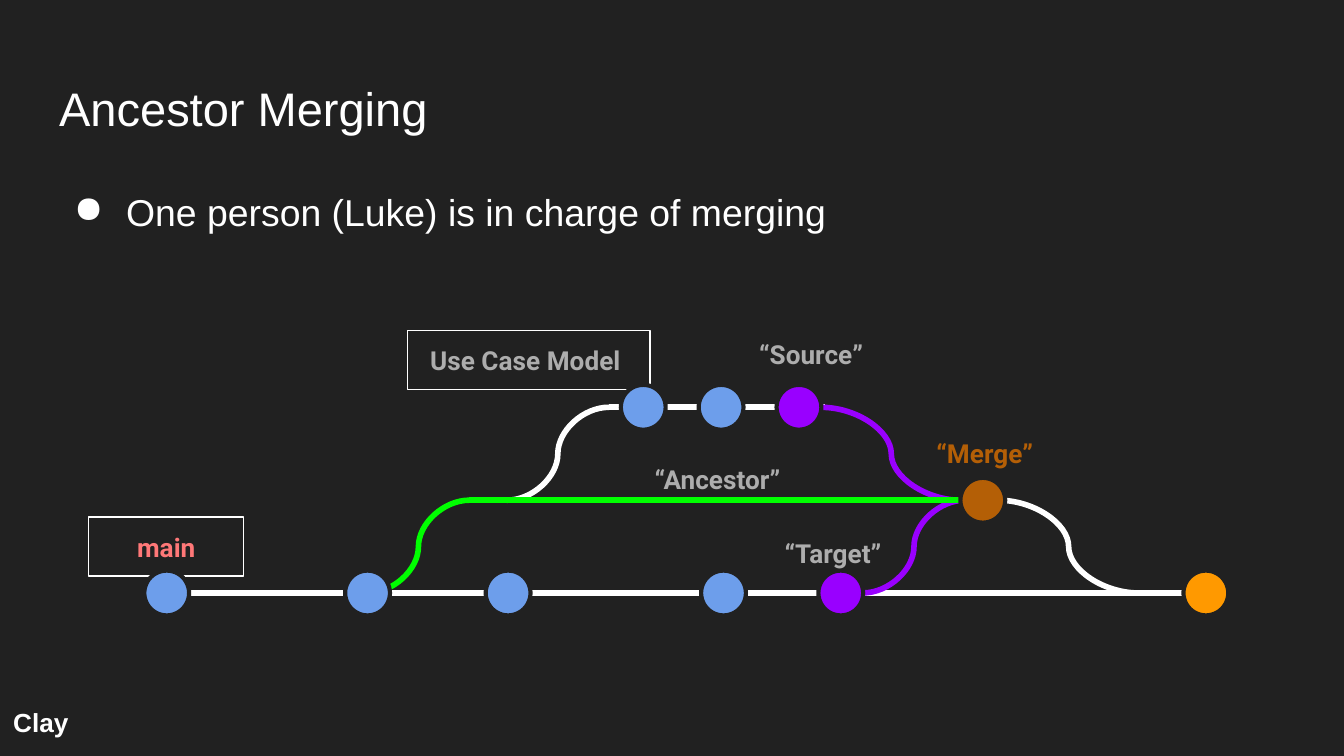
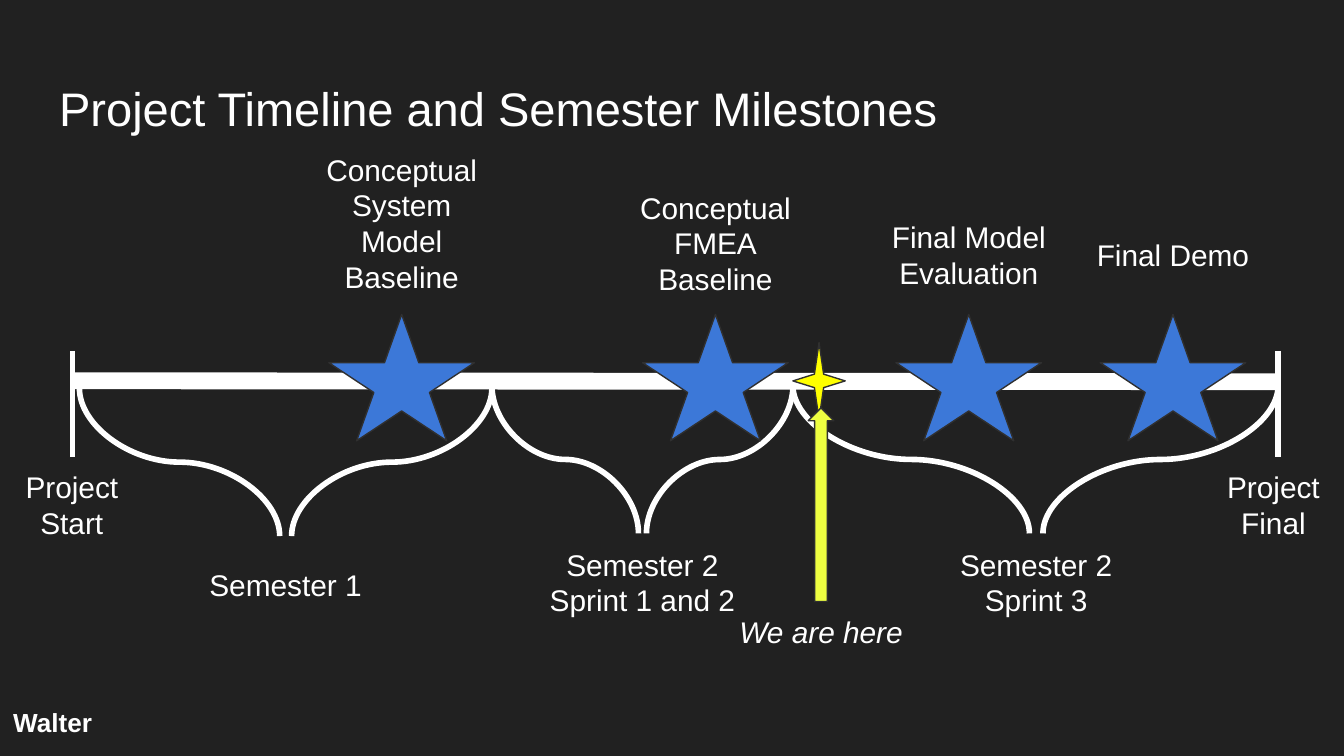
from lxml import etree
from pptx import Presentation
from pptx.dml.color import RGBColor
from pptx.enum import shapes, text
from pptx.oxml import ns
from pptx.util import Pt

C = {
    "bg": "212121", "white": "FFFFFF", "grey": "ADADAD", "coral": "FF7878",
    "blue": "6D9EEB", "purple": "9900FF", "green": "00FF00", "brown": "B45F06",
    "orange": "FF9900", "star": "3C78D8", "edge": "303030",
    "yellow": "FFFF00", "lime": "EEFF41",
}
SHAPE = shapes.MSO_SHAPE
LINK = shapes.MSO_CONNECTOR
ALIGN = text.PP_ALIGN
ANCHOR = text.MSO_ANCHOR
INSET = 7.2
MAIN_Y, ANCESTOR_Y, FEATURE_Y = 317.7, 268, 218.2
AXIS_Y, START_X, FINAL_X = 204, 38.9, 684.7


def rgb(name):
    return RGBColor.from_string(C[name])


def box(x, y, w, h):
    return Pt(x), Pt(y), Pt(w), Pt(h)


def write(sp, content, size=16, color="white", font="Arial", bold=False, italic=False,
          align=ALIGN.LEFT, anchor=ANCHOR.TOP, fit=text.MSO_AUTO_SIZE.NONE):
    tf = sp.text_frame
    tf.word_wrap = True
    tf.auto_size = fit
    tf.vertical_anchor = anchor
    tf.margin_left = tf.margin_right = tf.margin_top = tf.margin_bottom = Pt(INSET)
    for i, line in enumerate(content.split("\n")):
        p = tf.add_paragraph() if i else tf.paragraphs[0]
        p.alignment = align
        r = p.add_run()
        r.text = line
        f = r.font
        f.name, f.size, f.bold, f.italic = font, Pt(size), bold, italic
        f.color.rgb = rgb(color)
    return tf


def label(s, content, x, y, w, h, **fmt):
    return write(s.shapes.add_textbox(*box(x, y, w, h)), content, **fmt)


def centred(s, content, cx, y, w=97.2, h=45, **fmt):
    label(s, content, cx - w / 2, y, w, h, align=ALIGN.CENTER, anchor=ANCHOR.MIDDLE, **fmt)


def shape(s, kind, x, y, w, h, fill=None, line="edge", width=0.75):
    sp = s.shapes.add_shape(kind, *box(x, y, w, h))
    sp.shadow.inherit = False
    if fill:
        sp.fill.solid()
        sp.fill.fore_color.rgb = rgb(fill)
    else:
        sp.fill.background()
    sp.line.color.rgb = rgb(line)
    sp.line.width = Pt(width)
    return sp


def link(s, x1, y1, x2, y2, color="white", width=3, kind=LINK.STRAIGHT):
    c = s.shapes.add_connector(kind, *box(x1, y1, x2, y2))
    c.line.color.rgb = rgb(color)
    c.line.width = Pt(width)
    etree.SubElement(c._element.spPr, ns.qn("a:effectLst"))
    return c


def branch(s, x1, y1, x2, y2, color="white"):
    link(s, x1, y1, x2, y2, color, kind=LINK.CURVE)


def drop(s, x1, y1, x2, y2):
    cx, cy = (x1 + x2) / 2, (y1 + y2) / 2
    side = 1 if x2 < x1 else -1
    dx, dy = side * (y2 - y1) / 2, abs(x2 - x1) / 2
    c = link(s, cx - dx, cy - dy, cx + dx, cy + dy, kind=LINK.CURVE)
    turn = 90 if side > 0 else 270
    c._element.spPr.find(ns.qn("a:xfrm")).set("rot", str(turn * 60000))


def commit(s, cx, cy, color="blue"):
    shape(s, SHAPE.OVAL, cx - 12, cy - 12, 24, 24, color, "bg", 2.25)


def branch_box(s, content, x, y, w, color):
    sp = shape(s, SHAPE.RECTANGLE, x, y, w, 31.7, line="white")
    write(sp, content, size=14, color=color, font="Roboto", bold=True,
          align=ALIGN.CENTER, anchor=ANCHOR.MIDDLE)


def add_slide(prs, title, speaker):
    s = prs.slides.add_slide(prs.slide_layouts[5])
    s.background.fill.solid()
    s.background.fill.fore_color.rgb = rgb("bg")
    t = s.shapes.title
    t.left, t.top, t.width, t.height = box(24.5, 35, 671, 45.1)
    write(t, title, size=25.2, anchor=ANCHOR.BOTTOM)
    label(s, speaker, 0, 371.5, 62.6, 33.1, size=14, bold=True)
    return s


def bullet(s, content, x, y, w, h):
    p = label(s, content, x, y, w, h, size=20).paragraphs[0]
    p.line_spacing = 1.15
    pPr = p._p.get_or_add_pPr()
    pPr.set("marL", str(Pt(36)))
    pPr.set("indent", str(Pt(-28)))
    clr = etree.SubElement(pPr, ns.qn("a:buClr"))
    etree.SubElement(clr, ns.qn("a:srgbClr")).set("val", C["white"])
    etree.SubElement(pPr, ns.qn("a:buChar")).set("char", "●")


def merging_slide(prs):
    s = add_slide(prs, "Ancestor Merging", "Clay")
    bullet(s, "One person (Luke) is in charge of merging", 24.5, 90.7, 671, 269)
    branch_box(s, "main", 47.6, 277, 83, "coral")
    branch_box(s, "Use Case Model ", 218.2, 177.2, 130, "grey")

    link(s, 101, MAIN_Y, 196.9, MAIN_Y)
    branch(s, 196.9, MAIN_Y, 251.5, ANCESTOR_Y, "green")
    link(s, 185, MAIN_Y, 647, MAIN_Y)
    branch(s, 271.5, ANCESTOR_Y, 326.2, FEATURE_Y)
    link(s, 326.2, FEATURE_Y, 442, FEATURE_Y)
    branch(s, 440, FEATURE_Y, 515, ANCESTOR_Y, "purple")
    branch(s, 535, ANCESTOR_Y, 610, MAIN_Y)
    branch(s, 462.3, MAIN_Y, 517, ANCESTOR_Y, "purple")
    link(s, 251.5, ANCESTOR_Y, 525, ANCESTOR_Y, "green")

    for cx in (89.3, 196.9, 272.2, 387.6):
        commit(s, cx, MAIN_Y)
    for cx in (344.6, 386.3):
        commit(s, cx, FEATURE_Y)
    commit(s, 428, FEATURE_Y, "purple")
    commit(s, 450.4, MAIN_Y, "purple")
    commit(s, 646, MAIN_Y, "orange")
    commit(s, 526.5, ANCESTOR_Y, "brown")

    for content, x, y, w, color in (
            ("“Source”", 399.6, 174.2, 74.2, "grey"),
            ("“Ancestor”", 343.6, 241, 95, "grey"),
            ("“Target”", 413.3, 280.8, 74.2, "grey"),
            ("“Merge”", 494.6, 227.3, 74.2, "brown")):
        label(s, content, x, y, w, 31.7, size=14, color=color, font="Roboto",
              bold=True, fit=text.MSO_AUTO_SIZE.SHAPE_TO_FIT_TEXT)


def timeline_slide(prs):
    s = add_slide(prs, "Project Timeline and Semester Milestones", "Walter")
    link(s, START_X, AXIS_Y, FINAL_X, AXIS_Y + 0.5, width=9)
    for x, cx, content in ((START_X, 38.5, "Project Start"), (FINAL_X, 682.2, "Project Final")):
        link(s, x, 188, x, 244.8)
        centred(s, content, cx, 247.7)

    for left, tip_left, tip_right, right, y, w, content in (
            (42.5, 149.8, 156.2, 263.5, 208, 166, "Semester 1"),
            (263.5, 342, 346.3, 424.8, 206.6, 121, "Semester 2\nSprint 1 and 2"),
            (424.8, 551.5, 558.7, 684.7, 206.6, 195, "Semester 2\nSprint 3")):
        drop(s, right, y, tip_right, y + 79.2)
        drop(s, left, y, tip_left, y + 79.2)
        centred(s, content, (tip_left + tip_right) / 2, y + 82.8, w)

    for cx, h, content in (
            (215.2, 78.5, "Conceptual System Model\nBaseline"),
            (383.3, 57, "Conceptual FMEA\nBaseline"),
            (519, 45, "Final Model Evaluation"),
            (628.4, 45, "Final Demo")):
        shape(s, SHAPE.STAR_5_POINT, cx - 39, 168.5, 78, 67.7, "star")
        centred(s, content, cx, 158.7 - h, h=h)

    shape(s, SHAPE.STAR_4_POINT, 424.8, 183.6, 28, 41, "yellow").adjustments[0] = 0.125
    shape(s, SHAPE.RIGHT_ARROW, 388, 263.5, 103.7, 13.7, "lime").rotation = 270
    centred(s, "We are here", 439.9, 316, 108, italic=True)


def main():
    prs = Presentation()
    prs.slide_width, prs.slide_height = Pt(720), Pt(405)
    merging_slide(prs)
    timeline_slide(prs)
    prs.save("out.pptx")


if __name__ == "__main__":
    main()
